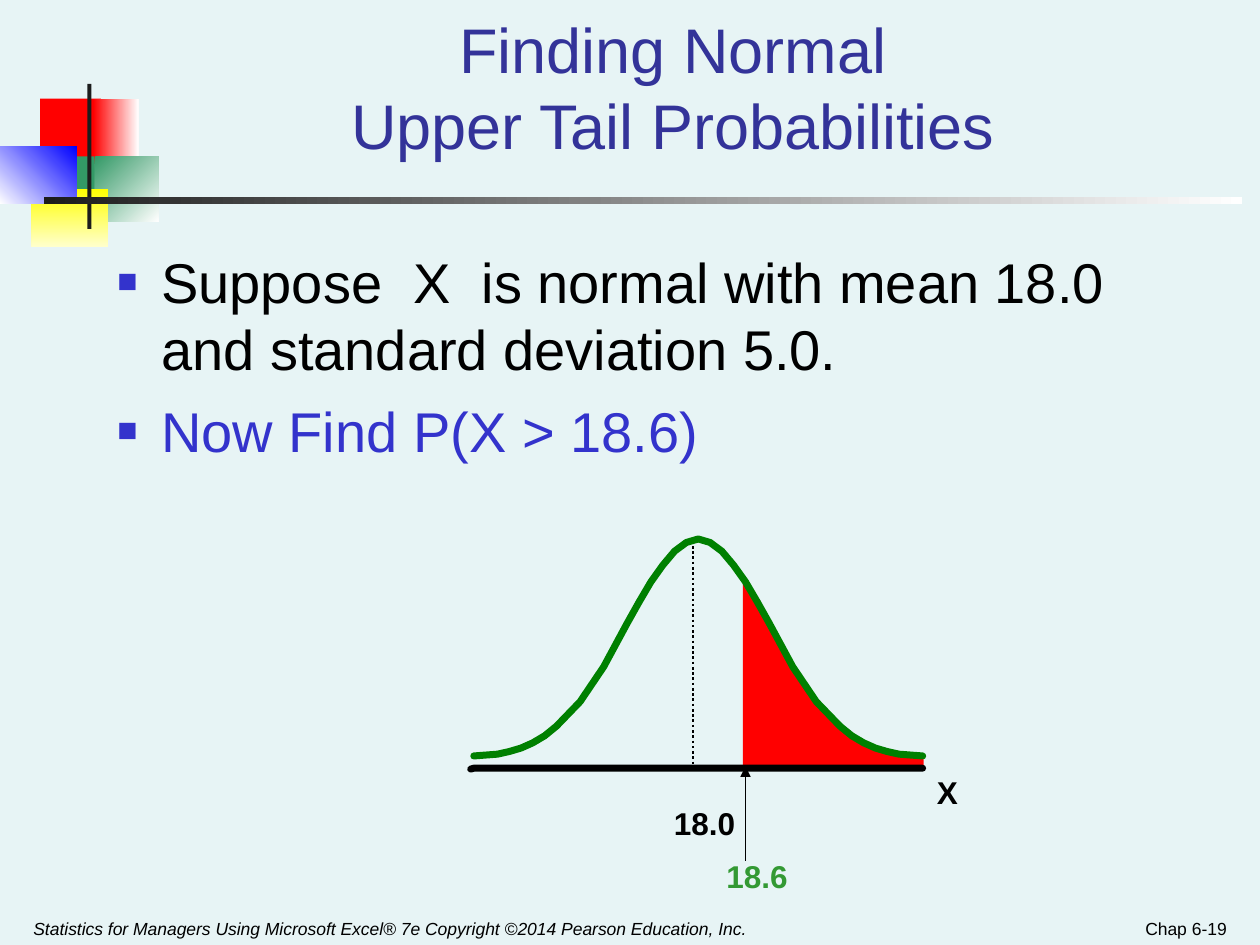
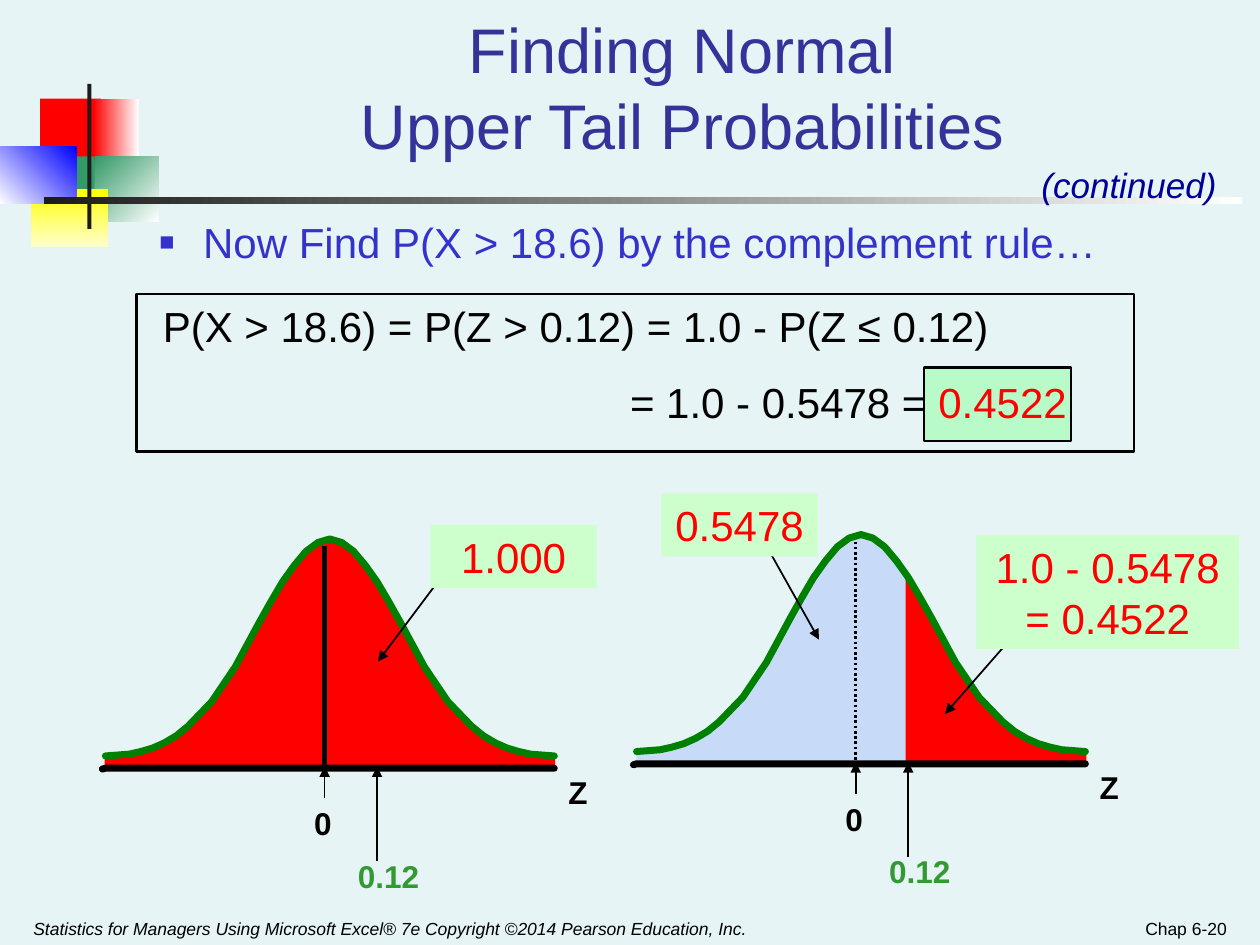
from lxml import etree
from pptx import Presentation
from pptx.dml.color import RGBColor
from pptx.enum.dml import MSO_LINE
from pptx.enum.shapes import MSO_CONNECTOR, MSO_SHAPE
from pptx.enum.text import MSO_ANCHOR, PP_ALIGN
from pptx.oxml.ns import qn
from pptx.util import Pt

RECTANGLE = MSO_SHAPE.RECTANGLE
STRAIGHT = MSO_CONNECTOR.STRAIGHT
DOTTED = MSO_LINE.ROUND_DOT
TOP, BOTTOM = MSO_ANCHOR.TOP, MSO_ANCHOR.BOTTOM
LEFT, CENTER, RIGHT = PP_ALIGN.LEFT, PP_ALIGN.CENTER, PP_ALIGN.RIGHT

FONT = "Arial"
BACKGROUND = RGBColor(0xE7, 0xF4, 0xF5)
BLACK = RGBColor(0, 0, 0)
WHITE = RGBColor(0xFF, 0xFF, 0xFF)
CHARCOAL = RGBColor(0x1C, 0x1C, 0x1C)
RED = RGBColor(0xFF, 0, 0)
YELLOW = RGBColor(0xFF, 0xFF, 0)
PALE_YELLOW = RGBColor(0xFF, 0xFF, 0xCC)
PURE_BLUE = RGBColor(0, 0, 0xFF)
TITLE_BLUE = RGBColor(0x33, 0x33, 0x99)
BODY_BLUE = RGBColor(0x33, 0x33, 0xCC)
NAVY = RGBColor(0, 0, 0x99)
AREA_BLUE = RGBColor(0xC7, 0xDA, 0xF7)
SEA_GREEN = RGBColor(0x33, 0x99, 0x66)
CURVE_GREEN = RGBColor(0, 0x80, 0)
LABEL_GREEN = RGBColor(0x33, 0x99, 0x33)
CALLOUT_GREEN = RGBColor(0xCC, 0xFF, 0xCC)
ANSWER_GREEN = RGBColor(0xB8, 0xFA, 0xC8)

# Shared content
TITLE = "Finding Normal\vUpper Tail Probabilities"
FOOTER = ("Statistics for Managers Using Microsoft Excel® 7e "
          "Copyright ©2014 Pearson Education, Inc.")

# Corner ornament: left, top, width, height, first colour, last colour, clockwise angle
ORNAMENT = [
    (23, 56.4, 34.6, 37.4, RED, None, 0),
    (53.3, 56.4, 25.9, 37.4, RED, WHITE, 0),
    (54, 89.3, 36.7, 37.4, SEA_GREEN, WHITE, 45),
    (31, 89.3, 23, 37.4, SEA_GREEN, None, 0),
    (18, 108, 44, 33.1, YELLOW, PALE_YELLOW, 90),
    (0, 83.5, 44, 33.1, WHITE, PURE_BLUE, 315),
    (49.9, 48, 2.4, 82.8, CHARCOAL, None, 0),
    (25.2, 112.5, 684.5, 4, CHARCOAL, WHITE, 0),
]

# Slide content
PROBLEM = [
    ("Suppose  X  is normal with mean 18.0 and standard deviation 5.0.", BLACK),
    ("Now Find P(X > 18.6)", BODY_BLUE),
]
METHOD = [("Now Find P(X > 18.6) by the complement rule…", BODY_BLUE)]
# Formula lines: indent, then coloured pieces
FORMULA = [
    (20, [("P(X > 18.6) = P(Z > 0.12) = 1.0 - P(Z ≤ 0.12)", BLACK)]),
    (287, [("= 1.0 - 0.5478 = ", BLACK), ("0.4522", RED)]),
]
# Callouts: text, box, arrow start, arrow end
CALLOUTS = [
    ("1.000", (246, 300, 95, 36), (252, 330), (216, 378)),
    ("0.5478", (378, 282, 89.3, 36), (438, 312), (468, 365.5)),
    ("1.0 - 0.5478 = 0.4522", (558, 306, 150, 64.8), (582, 360), (540, 408)),
]

# Right half of the bell: steps sideways from the apex, drop in points
STEP = 6.75
HALF_BELL = [(0, 0), (1, 2), (2, 7), (3, 15), (4, 24.5), (5, 36), (6, 48),
             (8, 73), (10, 93), (12, 107), (13, 112.5), (14, 116.5),
             (15, 119.5), (16, 121.5), (17, 123), (19, 124)]
BELL = ([(-step * STEP, drop) for step, drop in reversed(HALF_BELL[1:])]
        + [(step * STEP, drop) for step, drop in HALF_BELL])
EDGE = 19 * STEP
BASE = 131       # drop from apex to axis
MEAN = -3        # mean line, sideways from apex
CUT = 26         # start of the upper tail


def format_run(run, size, color, bold=False, italic=False):
    run.font.name = FONT
    run.font.size = Pt(size)
    run.font.color.rgb = color
    run.font.bold = bold
    run.font.italic = italic


def add_text(slide, box, text, size, color, align=LEFT, anchor=TOP, **style):
    shape = slide.shapes.add_textbox(*map(Pt, box))
    write_text(shape, text, size, color, align, anchor, **style)


def write_text(shape, text, size, color, align, anchor, **style):
    frame = shape.text_frame
    frame.word_wrap = True
    frame.vertical_anchor = anchor
    paragraph = frame.paragraphs[0]
    paragraph.text = text
    paragraph.alignment = align
    for run in paragraph.runs:
        format_run(run, size, color, **style)


def add_rectangle(slide, box, fill=None, line=None, last=None, angle=0):
    shape = slide.shapes.add_shape(RECTANGLE, *map(Pt, box))
    shape.shadow.inherit = False
    paint(shape, fill, line, 1.5)
    if last is not None:
        shape.fill.gradient()
        shape.fill.gradient_angle = (360 - angle) % 360
        for stop, color in zip(shape.fill.gradient_stops, (fill, last)):
            stop.color.rgb = color
    return shape


def paint(shape, fill, line, width):
    if fill is None:
        shape.fill.background()
    else:
        shape.fill.solid()
        shape.fill.fore_color.rgb = fill
    if line is None:
        shape.line.fill.background()
    else:
        shape.line.color.rgb = line
        shape.line.width = Pt(width)


def add_line(slide, start, end, width=1, arrow=False, dash=None):
    line = slide.shapes.add_connector(STRAIGHT, *map(Pt, (*start, *end)))
    line.line.color.rgb = BLACK
    line.line.width = Pt(width)
    if dash is not None:
        line.line.dash_style = dash
    properties = line._element.spPr
    if arrow:
        etree.SubElement(properties.find(qn("a:ln")), qn("a:tailEnd"), type="triangle")
    etree.SubElement(properties, qn("a:effectLst"))


def add_outline(slide, points, fill=None, line=None, width=1):
    points = [(Pt(x), Pt(y)) for x, y in points]
    builder = slide.shapes.build_freeform(*points[0], scale=1.0)
    builder.add_line_segments(points[1:], close=fill is not None)
    shape = builder.convert_to_shape()
    shape.shadow.inherit = False
    paint(shape, fill, line, width)
    if line is not None:
        shape._element.spPr.find(qn("a:ln")).set("cap", "rnd")


def add_bullets(slide, box, items, size, gap):
    frame = slide.shapes.add_textbox(*map(Pt, box)).text_frame
    frame.word_wrap = True
    for index, (text, color) in enumerate(items):
        paragraph = frame.add_paragraph() if index else frame.paragraphs[0]
        paragraph.text = text
        properties = paragraph._p.get_or_add_pPr()
        properties.set("marL", str(Pt(25)))
        properties.set("indent", str(-Pt(25)))
        bullet_color = etree.SubElement(properties, qn("a:buClr"))
        etree.SubElement(bullet_color, qn("a:srgbClr"), val=str(BODY_BLUE))
        etree.SubElement(properties, qn("a:buSzPct"), val="60000")
        etree.SubElement(properties, qn("a:buFont"), typeface=FONT)
        etree.SubElement(properties, qn("a:buChar"), char="■")
        if index:
            paragraph.space_before = Pt(gap)
        format_run(paragraph.runs[0], size, color)


def add_formula(slide, box):
    frame = slide.shapes.add_textbox(*map(Pt, box)).text_frame
    frame.word_wrap = True
    for index, (indent, pieces) in enumerate(FORMULA):
        paragraph = frame.add_paragraph() if index else frame.paragraphs[0]
        paragraph._p.get_or_add_pPr().set("marL", str(Pt(indent)))
        if index:
            paragraph.space_before = Pt(15)
        for text, color in pieces:
            run = paragraph.add_run()
            run.text = text
            format_run(run, 24, color)


def bell_drop(x):
    """Drop of the bell below its apex at sideways distance x."""
    for (x1, y1), (x2, y2) in zip(BELL, BELL[1:]):
        if x1 <= x <= x2:
            return y1 + (y2 - y1) * (x - x1) / (x2 - x1)


def add_bell(slide, apex, areas, axis_name, mean_label, mean_label_left, cut_label,
             mean_width=1.5, mean_dash=DOTTED, mean_arrow=True):
    def at(x, y):
        return apex[0] + x, apex[1] + y

    # Areas under the curve
    for start, end, fill, line in areas:
        inside = [point for point in BELL if start < point[0] < end]
        outline = [(start, BASE), (start, bell_drop(start)), *inside,
                   (end, bell_drop(end)), (end, BASE)]
        add_outline(slide, [at(*point) for point in outline], fill, line)

    # Mean line, curve and axis
    add_line(slide, at(MEAN, 4), at(MEAN, BASE), mean_width, dash=mean_dash)
    add_outline(slide, [at(*point) for point in BELL], line=CURVE_GREEN, width=4)
    add_outline(slide, [at(-130, BASE + 0.5), at(-EDGE, BASE), at(EDGE, BASE)],
                line=BLACK, width=4)

    # Pointers and labels
    if mean_arrow:
        add_line(slide, at(MEAN, 148), at(MEAN, 130), arrow=True)
    add_line(slide, at(CUT + 1, 184), at(CUT + 1, 130), arrow=True)
    for text, x, y, color in [(axis_name, EDGE + 1, 130, BLACK),
                              (mean_label, mean_label_left, 148, BLACK),
                              (cut_label, 9, 178, LABEL_GREEN)]:
        add_text(slide, (*at(x, y), 50, 29), text, 18, color, bold=True)


def add_slide(presentation, number, title_box):
    slide = presentation.slides.add_slide(presentation.slide_layouts[6])
    slide.background.fill.solid()
    slide.background.fill.fore_color.rgb = BACKGROUND
    for *box, first, last, angle in ORNAMENT:
        add_rectangle(slide, box, first, last=last, angle=angle)
    add_text(slide, (12, 515, 444, 25), FOOTER, 10, BLACK, anchor=BOTTOM, italic=True)
    add_text(slide, (540, 515, 168, 25), f"Chap 6-{number}", 10, BLACK, RIGHT, BOTTOM)
    add_text(slide, title_box, TITLE, 36, TITLE_BLUE, CENTER, BOTTOM)
    return slide


def build_problem(presentation):
    slide = add_slide(presentation, 19, (78, 30, 613, 66))
    add_bullets(slide, (60, 138, 636, 357), PROBLEM, 32, 8)
    add_bell(slide, (399, 308), [(CUT, EDGE, RED, RED)],
             "X", "18.0", -21, "18.6", mean_arrow=False)


def build_solution(presentation):
    slide = add_slide(presentation, 20, (84, 18, 612, 78))
    add_text(slide, (588, 90, 120, 32), "(continued)", 20, NAVY, italic=True)
    add_bullets(slide, (84, 120, 567, 54), METHOD, 24, 6)

    # Formula in its frame, with the answer boxed
    add_rectangle(slide, (528, 210, 84, 42), ANSWER_GREEN, BLACK)
    add_formula(slide, (66, 168, 606, 80))
    add_rectangle(slide, (78, 168, 570, 90), line=BLACK)

    # Whole area on the left, split area on the right
    add_bell(slide, (188.5, 308), [(-EDGE, EDGE, RED, RED)],
             "Z", "0", -16, "0.12", mean_width=2.5, mean_dash=None)
    add_bell(slide, (492, 305.5),
             [(-EDGE, CUT, AREA_BLUE, None), (CUT, EDGE, RED, RED)],
             "Z", "0", -16, "0.12")

    for text, box, start, end in CALLOUTS:
        add_line(slide, start, end, arrow=True)
        write_text(add_rectangle(slide, box, CALLOUT_GREEN), text, 24, RED, CENTER, TOP)


def main():
    presentation = Presentation()
    presentation.slide_width = Pt(720)
    presentation.slide_height = Pt(540)
    build_problem(presentation)
    build_solution(presentation)
    presentation.save("out.pptx")


if __name__ == "__main__":
    main()
